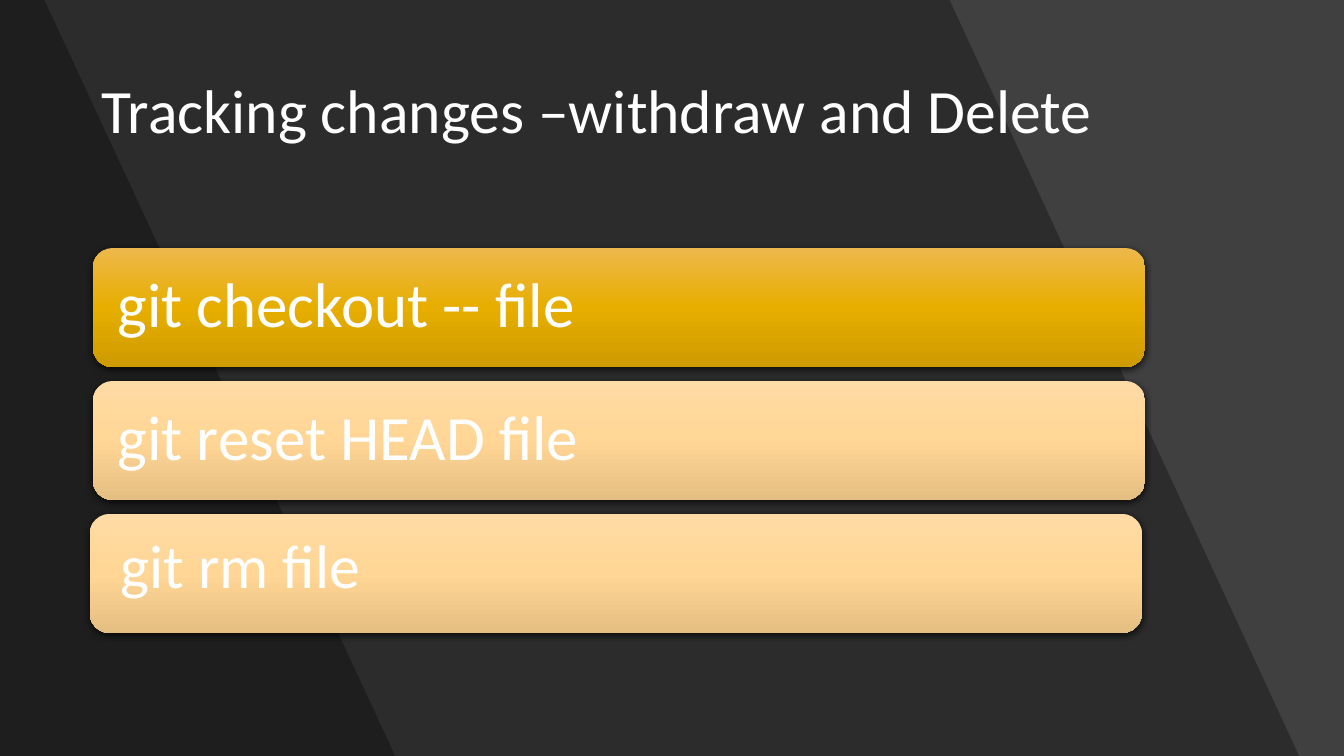
from copy import deepcopy

from lxml import etree
from pptx import Presentation
from pptx.dml.color import RGBColor
from pptx.enum.shapes import MSO_SHAPE
from pptx.enum.text import MSO_ANCHOR, MSO_AUTO_SIZE, PP_ALIGN
from pptx.oxml.ns import qn
from pptx.util import Cm, Pt

ROUNDED = MSO_SHAPE.ROUNDED_RECTANGLE
MIDDLE = MSO_ANCHOR.MIDDLE
LEFT = PP_ALIGN.LEFT
NO_AUTOFIT = MSO_AUTO_SIZE.NONE

FONT = "Calibri"
WHITE = RGBColor(0xFF, 0xFF, 0xFF)
BLACK = RGBColor(0x00, 0x00, 0x00)
GREY = RGBColor(0x40, 0x40, 0x40)
GOLD = (RGBColor(0xED, 0xB8, 0x4B), RGBColor(0xE7, 0xAE, 0x00),
        RGBColor(0xCE, 0x9B, 0x00))
PEACH = (RGBColor(0xFF, 0xDB, 0xA5), RGBColor(0xFF, 0xD6, 0x95),
         RGBColor(0xE5, 0xBE, 0x82))

SLIDE_W, SLIDE_H = Cm(33.87), Cm(19.05)
BAR_W, BAR_H = Cm(26.52), Cm(3)
BAR_TOP, BAR_PITCH = Cm(6.25), Cm(3.35)

# command, colours, left, left inset, bottom inset, text size
BARS = [
    ("git checkout -- file", GOLD, Cm(2.34), Cm(0.48), Cm(0.13), 45),
    ("git reset HEAD file", PEACH, Cm(2.34), Cm(0.48), Cm(0.13), 45),
    ("git rm file", PEACH, Cm(2.26), Cm(0.64), Cm(0.35), 44),
]


def set_text(tf, text, size):
    """Write one left-aligned, vertically centred white line."""
    tf.text = text
    tf.auto_size = NO_AUTOFIT
    tf.word_wrap = True
    tf.vertical_anchor = MIDDLE
    p = tf.paragraphs[0]
    p.alignment = LEFT
    p.line_spacing = 0.9
    font = p.runs[0].font
    font.name, font.size, font.color.rgb = FONT, Pt(size), WHITE


def add_shade(slide, top_x, bottom_x):
    """Darken the slide from its left edge to a slanted border."""
    builder = slide.shapes.build_freeform(0, 0)
    builder.add_line_segments(
        [(top_x, 0), (bottom_x, SLIDE_H), (0, SLIDE_H)], close=True)
    sp = builder.convert_to_shape()
    sp.shadow.inherit = False
    sp.line.fill.background()
    sp.fill.solid()
    sp.fill.fore_color.rgb = BLACK
    color = sp.fill._xPr.find(".//" + qn("a:srgbClr"))
    etree.SubElement(color, qn("a:alpha"), val="30000")


def add_title(slide, text):
    """Place the title placeholder in front of the shades."""
    title = slide.shapes.title
    title.left, title.top = Cm(2.31), Cm(1.02)
    title.width, title.height = Cm(29.24), Cm(3.68)
    set_text(title.text_frame, text, 44)
    slide.shapes._spTree.append(title._element)


def set_gradient(sp, colors):
    """Fill a shape from top to bottom with evenly spaced colours."""
    sp.fill.gradient()
    sp.fill.gradient_angle = 270
    stops = sp._element.spPr.find(".//" + qn("a:gsLst"))
    stops.append(deepcopy(stops[-1]))
    for i, (stop, color) in enumerate(zip(sp.fill.gradient_stops, colors)):
        stop.position = i / (len(colors) - 1)
        stop.color.rgb = color


def add_shadow(sp):
    """Give a shape a soft black shadow below it."""
    sp.shadow.inherit = False
    effects = sp._element.spPr.find(qn("a:effectLst"))
    shadow = etree.SubElement(
        effects, qn("a:outerShdw"), blurRad=str(Pt(4.5)), dist=str(Pt(1.5)),
        dir="5400000", algn="ctr", rotWithShape="0")
    color = etree.SubElement(shadow, qn("a:srgbClr"), val=str(BLACK))
    etree.SubElement(color, qn("a:alpha"), val="63000")


def add_bar(slide, top, text, colors, left, inset, bottom, size):
    """Add a rounded bar holding one command."""
    sp = slide.shapes.add_shape(ROUNDED, left, top, BAR_W, BAR_H)
    set_gradient(sp, colors)
    sp.line.fill.background()
    add_shadow(sp)
    tf = sp.text_frame
    tf.margin_left, tf.margin_bottom = inset, bottom
    set_text(tf, text, size)


def main():
    """Build the slide and save it."""
    prs = Presentation()
    prs.slide_width, prs.slide_height = SLIDE_W, SLIDE_H
    slide = prs.slides.add_slide(prs.slide_layouts[5])
    slide.background.fill.solid()
    slide.background.fill.fore_color.rgb = GREY
    add_shade(slide, Cm(23.93), Cm(32.74))
    add_shade(slide, Cm(1.12), Cm(9.96))
    add_title(slide, "Tracking changes –withdraw and Delete")
    for i, bar in enumerate(BARS):
        add_bar(slide, BAR_TOP + i * BAR_PITCH, *bar)
    prs.save("out.pptx")


main()
